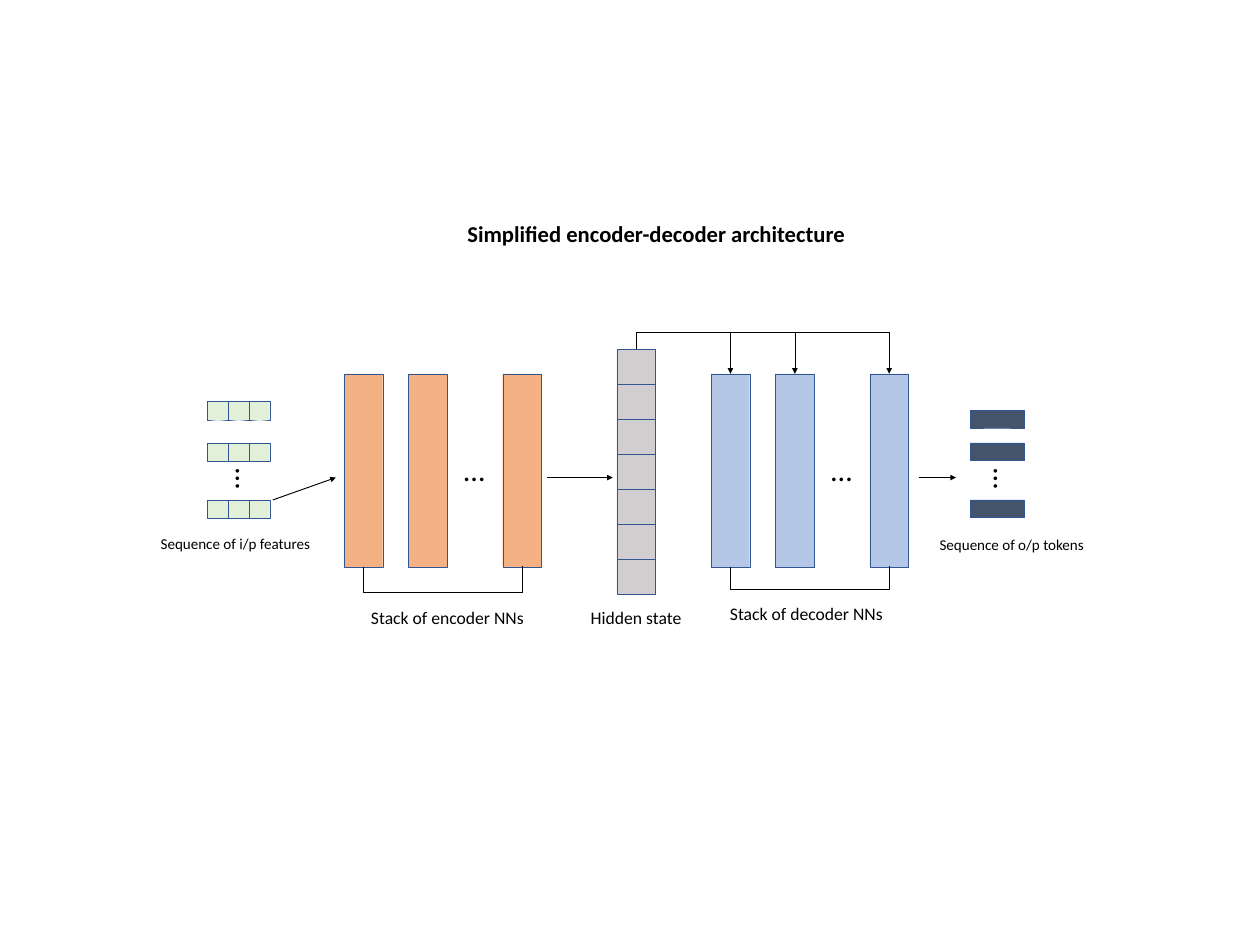
from lxml import etree
from pptx import Presentation
from pptx.dml.color import RGBColor
from pptx.enum.shapes import MSO_CONNECTOR, MSO_SHAPE
from pptx.enum.text import MSO_AUTO_SIZE, PP_ALIGN
from pptx.oxml.ns import qn
from pptx.util import Inches, Pt

RECTANGLE = MSO_SHAPE.RECTANGLE
STRAIGHT = MSO_CONNECTOR.STRAIGHT
ELBOW = MSO_CONNECTOR.ELBOW
LEFT = PP_ALIGN.LEFT
CENTER = PP_ALIGN.CENTER
GROW = MSO_AUTO_SIZE.SHAPE_TO_FIT_TEXT

BLACK = RGBColor(0x00, 0x00, 0x00)
OUTLINE = RGBColor(0x32, 0x54, 0x91)
ENCODER = RGBColor(0xF4, 0xB1, 0x83)
FEATURE = RGBColor(0xE2, 0xF0, 0xD9)
HIDDEN = RGBColor(0xD0, 0xCE, 0xCE)
DECODER = RGBColor(0xB4, 0xC7, 0xE7)
TOKEN = RGBColor(0x44, 0x54, 0x6A)

FONT = "Calibri"
COLUMNS, ROWS = 18.57, 13.93
CELL = Inches(1)

BAR_WIDTH, BAR_HEIGHT = 0.57, 2.85
BAR_TOP = 5.51
BAR_BOTTOM = BAR_TOP + BAR_HEIGHT
BAR_OFFSETS = (0, 0.95, 2.34)
ENCODER_LEFT, DECODER_LEFT = 5.07, 10.48
HIDDEN_LEFT, HIDDEN_TOP = 9.09, 5.15
HIDDEN_COUNT, HIDDEN_STEP = 7, 0.515
FEATURE_LEFT, FEATURE_WIDTH = 3.06, 0.305
FEATURE_TOPS = (5.92, 6.53, 7.37)
TOKEN_LEFT = 14.3
TOKEN_TOPS = (6.05, 6.53, 7.37)
FLOW_ROW = 7.04
RAIL_ROW = 4.9


def grid(*cells):
    return [round(cell * CELL) for cell in cells]


def add_box(page, left, top, width, height, color):
    box = page.shapes.add_shape(RECTANGLE, *grid(left, top, width, height))
    box.shadow.inherit = False
    box.fill.solid()
    box.fill.fore_color.rgb = color
    box.line.color.rgb = OUTLINE
    box.line.width = Pt(0.25)


def add_label(page, text, left, top, width, height, size,
              align=LEFT, bold=False, wrap=True, rotation=0):
    label = page.shapes.add_textbox(*grid(left, top, width, height))
    label.rotation = rotation
    frame = label.text_frame
    frame.text = text
    frame.word_wrap = wrap
    frame.auto_size = GROW
    para = frame.paragraphs[0]
    para.alignment = align
    font = para.runs[0].font
    font.name = FONT
    font.size = Pt(size)
    font.bold = bold
    font.color.rgb = BLACK


def add_dots(page, left, top, rotation=0):
    add_label(page, "…", left, top, 0.46, 0.64, 32, wrap=False, rotation=rotation)


def style_line(line, weight, arrow):
    line.line.color.rgb = BLACK
    line.line.width = Pt(weight)
    properties = line._element.spPr
    if arrow:
        etree.SubElement(properties.find(qn("a:ln")), qn("a:tailEnd"), type="triangle")
    etree.SubElement(properties, qn("a:effectLst"))


def add_arrow(page, start, end, weight=1):
    line = page.shapes.add_connector(STRAIGHT, *grid(*start, *end))
    style_line(line, weight, True)


def add_bent_line(page, start, end, rail, weight, turn, flips, arrow=False):
    span = end[0] - start[0]
    rise = abs(end[1] - start[1])
    left = (start[0] + end[0] - rise) / 2
    top = (start[1] + end[1] - span) / 2
    line = page.shapes.add_connector(ELBOW, *grid(left, top, left + rise, top + span))
    properties = line._element.spPr
    frame = properties.find(qn("a:xfrm"))
    frame.set("rot", str(turn * 60000))
    for flip in flips:
        frame.set(flip, "1")
    guides = properties.find(qn("a:prstGeom")).get_or_add_avLst()
    depth = -abs(rail - start[1]) / rise
    etree.SubElement(guides, qn("a:gd"), name="adj1", fmla=f"val {round(depth * 100000)}")
    style_line(line, weight, arrow)


def add_stack(page, left, color, rail):
    for offset in BAR_OFFSETS:
        add_box(page, left + offset, BAR_TOP, BAR_WIDTH, BAR_HEIGHT, color)
    add_dots(page, left + 1.67, 6.6)
    first = left + BAR_WIDTH / 2
    add_bent_line(page, (first, BAR_BOTTOM), (first + BAR_OFFSETS[-1], BAR_BOTTOM - 0.01),
                  rail, 0.75, 90, ("flipH", "flipV"))


def add_features(page):
    for top in FEATURE_TOPS:
        for index in range(3):
            add_box(page, FEATURE_LEFT + index * FEATURE_WIDTH, top,
                    FEATURE_WIDTH, 0.27, FEATURE)
    add_dots(page, 3.42, 6.72, 90)
    add_label(page, "Sequence of i/p features", 2.27, 7.83, 3.43, 0.37, 16)


def add_hidden_state(page):
    for index in range(HIDDEN_COUNT):
        add_box(page, HIDDEN_LEFT, HIDDEN_TOP + index * HIDDEN_STEP,
                BAR_WIDTH, HIDDEN_STEP, HIDDEN)
    add_label(page, "Hidden state", 7.66, 8.9, 3.43, 0.42, 18.7, CENTER)


def add_tokens(page):
    for top in TOKEN_TOPS:
        add_box(page, TOKEN_LEFT, top, 0.79, 0.26, TOKEN)
    add_dots(page, 14.59, 6.72, 90)
    add_label(page, "Sequence of o/p tokens", 13.75, 7.84, 3.43, 0.37, 16)


def add_hidden_feed(page):
    *inner, last = [DECODER_LEFT + offset + BAR_WIDTH / 2 for offset in BAR_OFFSETS]
    add_bent_line(page, (HIDDEN_LEFT + BAR_WIDTH / 2, HIDDEN_TOP), (last, BAR_TOP),
                  RAIL_ROW, 0.5, 270, ("flipH",), True)
    for center in inner:
        add_arrow(page, (center, RAIL_ROW), (center, BAR_TOP), 0.5)


def main():
    deck = Presentation()
    deck.slide_width, deck.slide_height = grid(COLUMNS, ROWS)
    page = deck.slides.add_slide(deck.slide_layouts[6])

    add_label(page, "Simplified encoder-decoder architecture",
              6.49, 3.19, 6.36, 0.5, 24, CENTER, True)
    add_features(page)
    add_stack(page, ENCODER_LEFT, ENCODER, 8.74)
    add_label(page, "Stack of encoder NNs", 4.88, 8.9, 3.43, 0.42, 18.7, CENTER)
    add_hidden_state(page)
    add_stack(page, DECODER_LEFT, DECODER, 8.7)
    add_label(page, "Stack of decoder NNs", 10.66, 8.84, 3.43, 0.42, 18.7)
    add_tokens(page)

    add_arrow(page, (4.02, 7.37), (4.95, FLOW_ROW))
    add_arrow(page, (8.06, FLOW_ROW), (9.03, FLOW_ROW))
    add_arrow(page, (13.54, FLOW_ROW), (14.09, FLOW_ROW))
    add_hidden_feed(page)
    deck.save("out.pptx")


if __name__ == "__main__":
    main()
